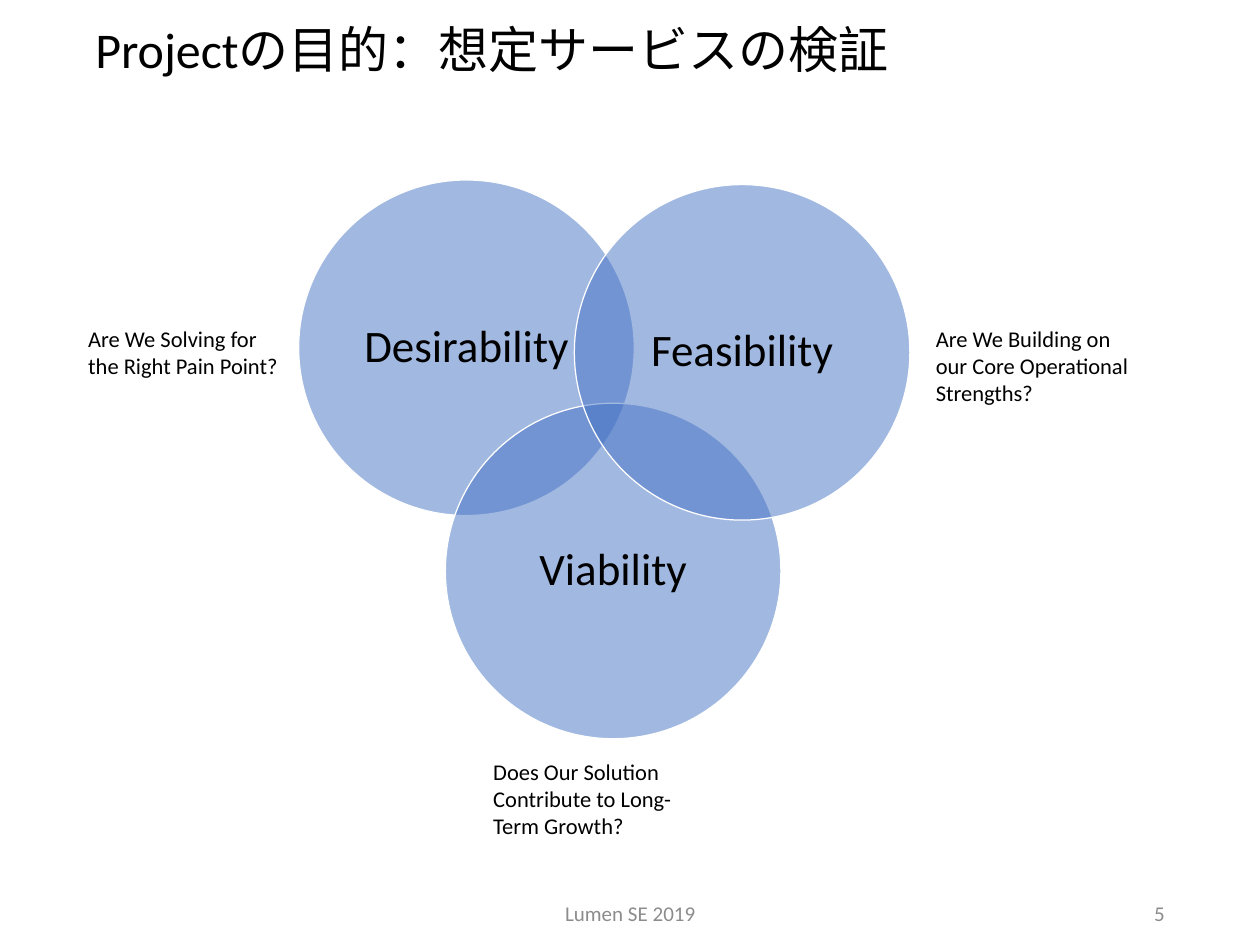
from lxml import etree
from pptx import Presentation
from pptx.dml.color import RGBColor
from pptx.enum import shapes, text
from pptx.oxml import ns
from pptx.util import Cm, Pt

BLACK = RGBColor(0, 0, 0)
GRAY = RGBColor(0x8C, 0x8C, 0x8C)
WHITE = RGBColor(0xFF, 0xFF, 0xFF)
BLUE = RGBColor(0x44, 0x72, 0xC4)

TITLE = "Projectの目的：想定サービスの検証"
FOOTER = "Lumen SE 2019"
PAGE_NUMBER = "5"
CRITERIA = [
    ("Desirability", 8.43, 5.08),
    ("Viability", 12.57, 11.38),
    ("Feasibility", 16.21, 5.21),
]
QUESTIONS = [
    ("Are We Solving for the Right Pain Point?", 2.24, 9.04, 1.8),
    ("Are We Building on our Core Operational Strengths?", 26.16, 9.04, 2.57),
    ("Does Our Solution Contribute to Long-Term Growth?", 13.67, 21.26, 2.57),
]
DIAMETER = 9.47
LABEL_SIDE = 6.7
LABEL_INSET = 0.38
QUESTION_WIDTH = 6.05

LEFT, CENTER, RIGHT = text.PP_ALIGN.LEFT, text.PP_ALIGN.CENTER, text.PP_ALIGN.RIGHT
TOP, MIDDLE = text.MSO_ANCHOR.TOP, text.MSO_ANCHOR.MIDDLE


def add_text(slide, words, left, top, width, height, size, color=BLACK,
             align=LEFT, anchor=MIDDLE, spacing=1.0):
    box = slide.shapes.add_textbox(Cm(left), Cm(top), Cm(width), Cm(height))
    frame = box.text_frame
    frame.word_wrap = True
    frame.vertical_anchor = anchor
    paragraph = frame.paragraphs[0]
    paragraph.text = words
    paragraph.alignment = align
    paragraph.line_spacing = spacing
    paragraph.font.name = "Calibri"
    paragraph.font.size = Pt(size)
    paragraph.font.color.rgb = color
    return frame


def add_circle(slide, left, top):
    circle = slide.shapes.add_shape(
        shapes.MSO_SHAPE.OVAL, Cm(left), Cm(top), Cm(DIAMETER), Cm(DIAMETER))
    circle.shadow.inherit = False
    circle.fill.solid()
    circle.fill.fore_color.rgb = BLUE
    fill_color = circle.fill._xPr.find(ns.qn("a:solidFill"))[0]
    etree.SubElement(fill_color, ns.qn("a:alpha"), val="50000")
    circle.line.color.rgb = WHITE
    circle.line.width = Pt(1)


def add_criterion(slide, name, left, top):
    add_circle(slide, left, top)
    offset = (DIAMETER - LABEL_SIDE) / 2
    label = add_text(slide, name, left + offset, top + offset, LABEL_SIDE,
                     LABEL_SIDE, 36, align=CENTER, spacing=0.9)
    label.margin_left = label.margin_right = Cm(LABEL_INSET)
    label.margin_top = label.margin_bottom = Cm(LABEL_INSET)


def main():
    deck = Presentation()
    deck.slide_width, deck.slide_height = Cm(35.56), Cm(26.67)
    slide = deck.slides.add_slide(deck.slide_layouts[6])

    add_text(slide, TITLE, 2.44, 0.3, 30.66, 2.34, 40, spacing=0.9)
    add_text(slide, FOOTER, 11.79, 25.4, 11.99, 0.74, 16.8, GRAY, CENTER)
    add_text(slide, PAGE_NUMBER, 25.12, 25.4, 8, 0.74, 16.8, GRAY, RIGHT)

    for name, left, top in CRITERIA:
        add_criterion(slide, name, left, top)

    for question, left, top, height in QUESTIONS:
        frame = add_text(slide, question, left, top, QUESTION_WIDTH, height, 18,
                         anchor=TOP)
        frame.auto_size = text.MSO_AUTO_SIZE.SHAPE_TO_FIT_TEXT

    deck.save("out.pptx")


if __name__ == "__main__":
    main()
